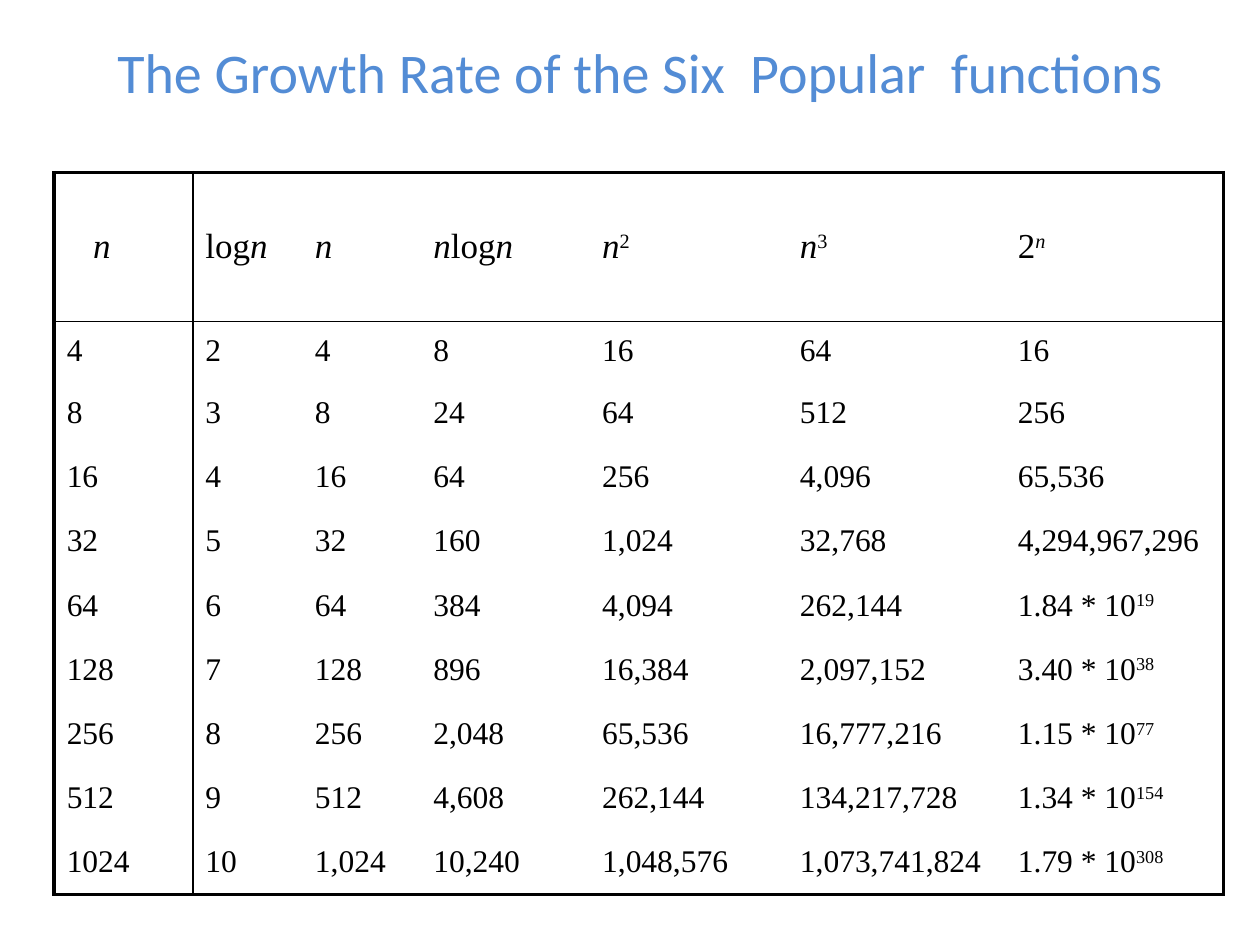
"""Build a slide that tabulates the growth rate of six popular functions."""

from dataclasses import dataclass
from itertools import groupby

from lxml import etree
from pptx import Presentation
from pptx.dml.color import RGBColor
from pptx.enum.text import MSO_ANCHOR, MSO_AUTO_SIZE, PP_ALIGN
from pptx.oxml.ns import qn
from pptx.slide import Slide
from pptx.table import Table, _Cell
from pptx.util import Inches, Pt

CENTER = PP_ALIGN.CENTER
MIDDLE = MSO_ANCHOR.MIDDLE
GROW = MSO_AUTO_SIZE.SHAPE_TO_FIT_TEXT

COLORS = {"title": "538CD5", "ink": "000000"}
GRID_COLUMNS, GRID_ROWS = 1000, 750
SLIDE_WIDTH, SLIDE_HEIGHT = Inches(10), Inches(7.5)
FRAME_LINE, INNER_LINE = 2.25, 1
SUPERSCRIPT = "30000"


@dataclass(frozen=True)
class Area:
    """A rectangle in grid columns and rows."""

    left: int
    top: int
    width: int
    height: int

    def lengths(self) -> tuple[int, int, int, int]:
        """Return the rectangle in slide lengths."""
        return across(self.left), down(self.top), across(self.width), down(self.height)


@dataclass(frozen=True)
class Growth:
    """One table row, where a caret starts a superscript."""

    values: tuple[str, ...]
    height: int = 51
    size: int = 18
    first_margin: int = 10


TITLE = "The Growth Rate of the Six  Popular  functions"
TITLE_AREA = Area(50, 25, 917, 64)
TABLE_AREA = Area(43, 137, 929, 572)
COLUMN_WIDTHS = (110, 87, 94, 134, 157, 173, 173)
GROWTHS = (
    Growth(("n", "logn", "n", "nlogn", "n^2", "n^3", "2^n"), 118, 20, 31),
    Growth(("4", "2", "4", "8", "16", "64", "16"), 47),
    Growth(("8", "3", "8", "24", "64", "512", "256")),
    Growth(("16", "4", "16", "64", "256", "4,096", "65,536")),
    Growth(("32", "5", "32", "160", "1,024", "32,768", "4,294,967,296")),
    Growth(("64", "6", "64", "384", "4,094", "262,144", "1.84 * 10^19")),
    Growth(("128", "7", "128", "896", "16,384", "2,097,152", "3.40 * 10^38")),
    Growth(("256", "8", "256", "2,048", "65,536", "16,777,216", "1.15 * 10^77")),
    Growth(("512", "9", "512", "4,608", "262,144", "134,217,728", "1.34 * 10^154")),
    Growth(("1024", "10", "1,024", "10,240", "1,048,576", "1,073,741,824", "1.79 * 10^308")),
)


def across(columns: int) -> int:
    """Turn grid columns into a slide length."""
    return round(SLIDE_WIDTH * columns / GRID_COLUMNS)


def down(rows: int) -> int:
    """Turn grid rows into a slide length."""
    return round(SLIDE_HEIGHT * rows / GRID_ROWS)


def add_title(slide: Slide) -> None:
    """Add the centred heading."""
    heading = slide.shapes.add_textbox(*TITLE_AREA.lengths()).text_frame
    heading.word_wrap = True
    heading.auto_size = GROW
    heading.text = TITLE
    heading.paragraphs[0].alignment = CENTER
    font = heading.paragraphs[0].runs[0].font
    font.name, font.size = "Calibri", Pt(32)
    font.color.rgb = RGBColor.from_string(COLORS["title"])


def write_formula(cell: _Cell, formula: str, size: int) -> None:
    """Write a value with the variable n in italics and its power raised."""
    paragraph = cell.text_frame.paragraphs[0]
    base, _, power = formula.partition("^")
    for part, raised in ((base, False), (power, True)):
        for is_variable, letters in groupby(part, lambda letter: letter == "n"):
            run = paragraph.add_run()
            run.text = "".join(letters)
            run.font.name, run.font.size = "Times New Roman", Pt(size)
            run.font.italic = is_variable
            run.font.color.rgb = RGBColor.from_string(COLORS["ink"])
            if raised:
                run._r.get_or_add_rPr().set("baseline", SUPERSCRIPT)


def draw_border(cell: _Cell, side: str, width: float) -> None:
    """Draw one side of a cell, or clear it when the width is zero."""
    line = etree.SubElement(cell._tc.get_or_add_tcPr(), qn(f"a:ln{side}"), w=str(Pt(width)))
    if width:
        fill = etree.SubElement(line, qn("a:solidFill"))
        etree.SubElement(fill, qn("a:srgbClr"), val=COLORS["ink"])
    else:
        etree.SubElement(line, qn("a:noFill"))


def rule_cell(cell: _Cell, row: int, column: int) -> None:
    """Frame the table and rule off its first row and first column."""
    last_row, last_column = len(GROWTHS) - 1, len(COLUMN_WIDTHS) - 1
    widths = {
        "L": {0: FRAME_LINE, 1: INNER_LINE}.get(column, 0),
        "R": {0: INNER_LINE, last_column: FRAME_LINE}.get(column, 0),
        "T": {0: FRAME_LINE, 1: INNER_LINE}.get(row, 0),
        "B": {0: INNER_LINE, last_row: FRAME_LINE}.get(row, 0),
    }
    for side, width in widths.items():
        draw_border(cell, side, width)


def fill_row(table: Table, row: int, growth: Growth) -> None:
    """Write and rule one row of the table."""
    table.rows[row].height = down(growth.height)
    for column, formula in enumerate(growth.values):
        cell = table.cell(row, column)
        cell.vertical_anchor = MIDDLE
        if column == 0:
            cell.margin_left = across(growth.first_margin)
        write_formula(cell, formula, growth.size)
        rule_cell(cell, row, column)
        cell.fill.background()


def add_growth_table(slide: Slide) -> None:
    """Add the table of growth rates."""
    table = slide.shapes.add_table(
        len(GROWTHS), len(COLUMN_WIDTHS), *TABLE_AREA.lengths()
    ).table
    table.first_row = table.horz_banding = False
    for column, width in zip(table.columns, COLUMN_WIDTHS):
        column.width = across(width)
    for row, growth in enumerate(GROWTHS):
        fill_row(table, row, growth)


def main() -> None:
    """Build and save the presentation."""
    presentation = Presentation()
    presentation.slide_width, presentation.slide_height = SLIDE_WIDTH, SLIDE_HEIGHT
    slide = presentation.slides.add_slide(presentation.slide_layouts[6])
    add_growth_table(slide)
    add_title(slide)
    presentation.save("out.pptx")


if __name__ == "__main__":
    main()
